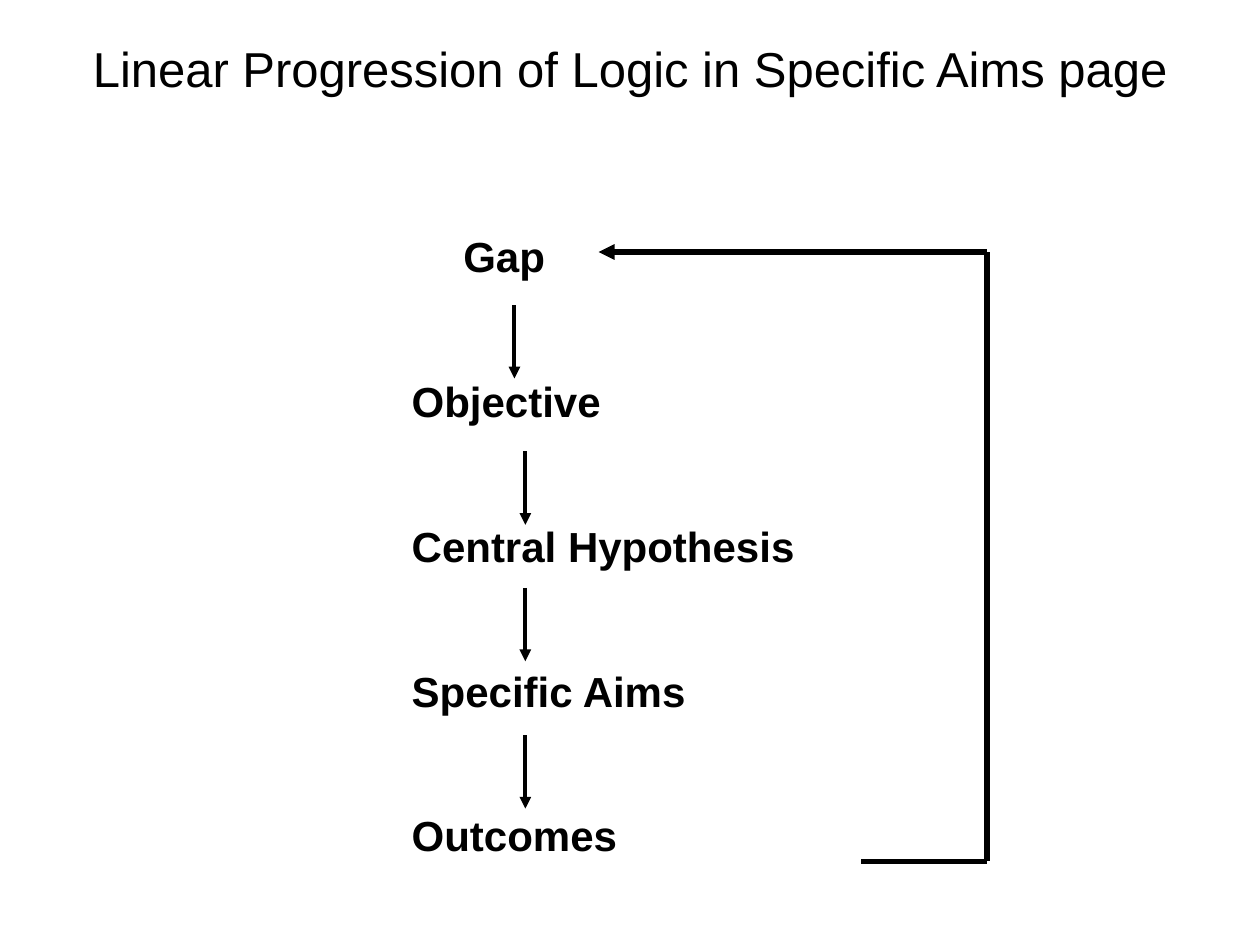
from lxml import etree
from pptx import Presentation
from pptx.dml.color import RGBColor
from pptx.enum.shapes import MSO_CONNECTOR
from pptx.enum.text import MSO_ANCHOR, PP_ALIGN
from pptx.oxml.ns import qn
from pptx.util import Cm, Pt

STRAIGHT = MSO_CONNECTOR.STRAIGHT
MIDDLE, TOP = MSO_ANCHOR.MIDDLE, MSO_ANCHOR.TOP
CENTER, LEFT = PP_ALIGN.CENTER, PP_ALIGN.LEFT
BLACK = "000000"
FONT = "Arial"
STEPS = ["Gap", "Objective", "Central Hypothesis", "Specific Aims", "Outcomes"]
STEP_INDENT, GAP_INDENT = 5.08, 6.12
ARROWS = [(7.4, 1.63), (7.62, 4.58), (7.62, 7.33), (7.62, 10.3)]
ARROW_LENGTH = 1.48


def color(hex_string):
    return RGBColor.from_string(hex_string)


def add_text_frame(slide, box, anchor):
    shape = slide.shapes.add_textbox(*(Cm(length) for length in box))
    text_frame = shape.text_frame
    text_frame.word_wrap = True
    text_frame.vertical_anchor = anchor
    return text_frame


def write_run(paragraph, text, size, alignment, bold=False):
    paragraph.alignment = alignment
    run = paragraph.add_run()
    run.text = text
    run.font.name = FONT
    run.font.size = Pt(size)
    run.font.bold = bold
    run.font.color.rgb = color(BLACK)


def add_line(slide, start, end, width, arrow=False):
    points = (Cm(length) for length in (*start, *end))
    connector = slide.shapes.add_connector(STRAIGHT, *points)
    connector.line.color.rgb = color(BLACK)
    connector.line.width = Pt(width)
    properties = connector.line._get_or_add_ln()
    if arrow:
        etree.SubElement(properties, qn("a:tailEnd"), type="triangle")
    etree.SubElement(properties.getparent(), qn("a:effectLst"))


def add_title(slide, box):
    text_frame = add_text_frame(slide, box, MIDDLE)
    title = "Linear Progression of Logic in Specific Aims page"
    write_run(text_frame.paragraphs[0], title, 28, CENTER)


def add_steps(slide, box):
    left, top = box[:2]
    text_frame = add_text_frame(slide, box, TOP)
    for index, step in enumerate(STEPS):
        paragraph = text_frame.add_paragraph() if index else text_frame.paragraphs[0]
        indent = STEP_INDENT if index else GAP_INDENT
        paragraph._p.get_or_add_pPr().set("marL", str(Cm(indent)))
        if index:
            paragraph.space_before = Pt(54)
        write_run(paragraph, step, 24, LEFT, bold=True)
    for across, down in ARROWS:
        x, y = left + across, top + down
        add_line(slide, (x, y), (x, y + ARROW_LENGTH), 2.25, arrow=True)


def add_return_loop(slide, box):
    left, top, width, height = box
    right, bottom = left + width, top + height
    add_line(slide, (right - 2.54, bottom), (right, bottom), 3)
    add_line(slide, (right, bottom), (right, top), 3)
    add_line(slide, (right, top), (left, top), 3, arrow=True)


def main():
    presentation = Presentation()
    presentation.slide_width, presentation.slide_height = Cm(25.4), Cm(19.05)
    slide = presentation.slides.add_slide(presentation.slide_layouts[6])
    add_title(slide, (1.27, 0, 22.86, 2.75))
    add_steps(slide, (2.97, 4.52, 21.59, 14.5))
    add_return_loop(slide, (12.07, 5.08, 7.83, 12.28))
    presentation.save("out.pptx")


if __name__ == "__main__":
    main()
